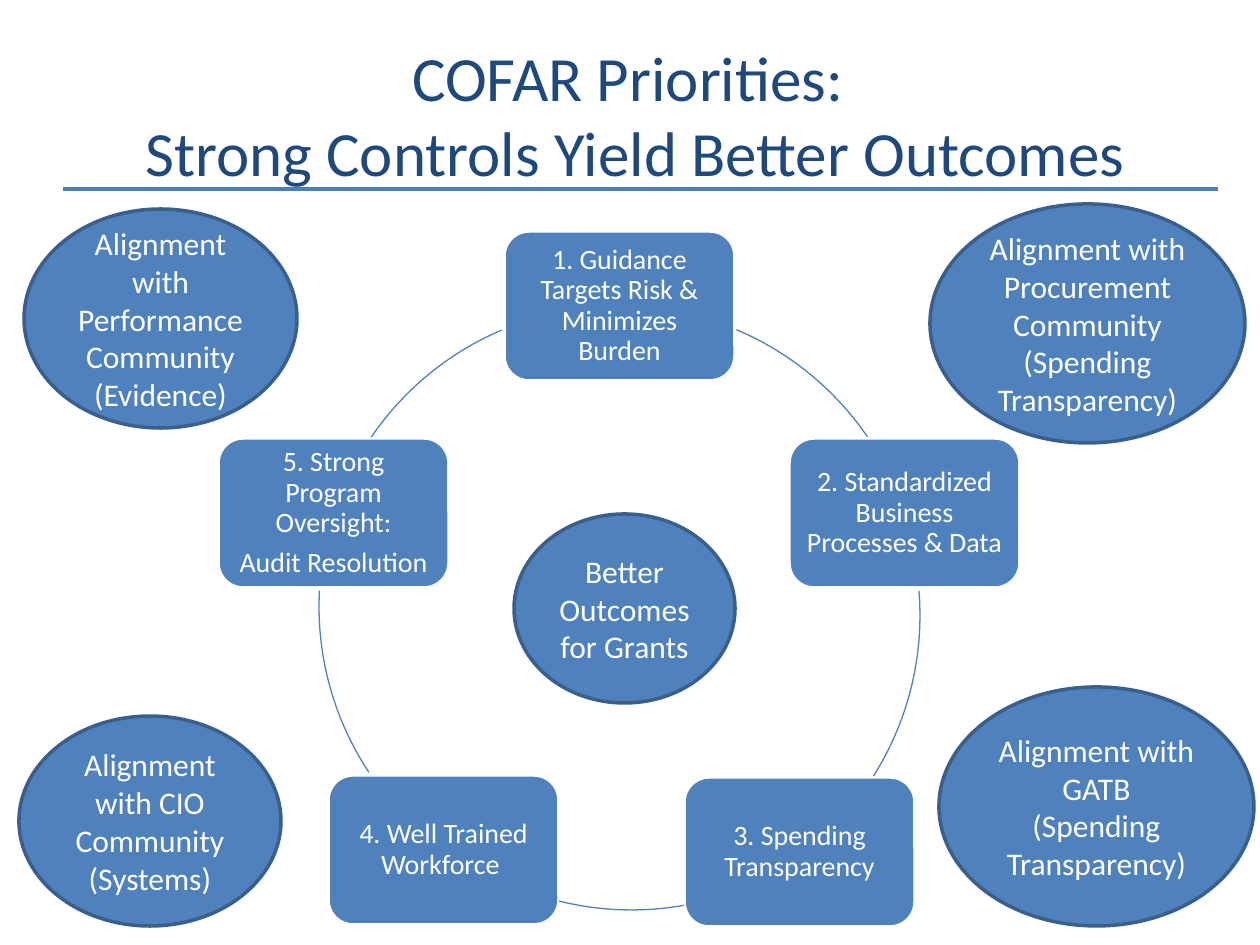
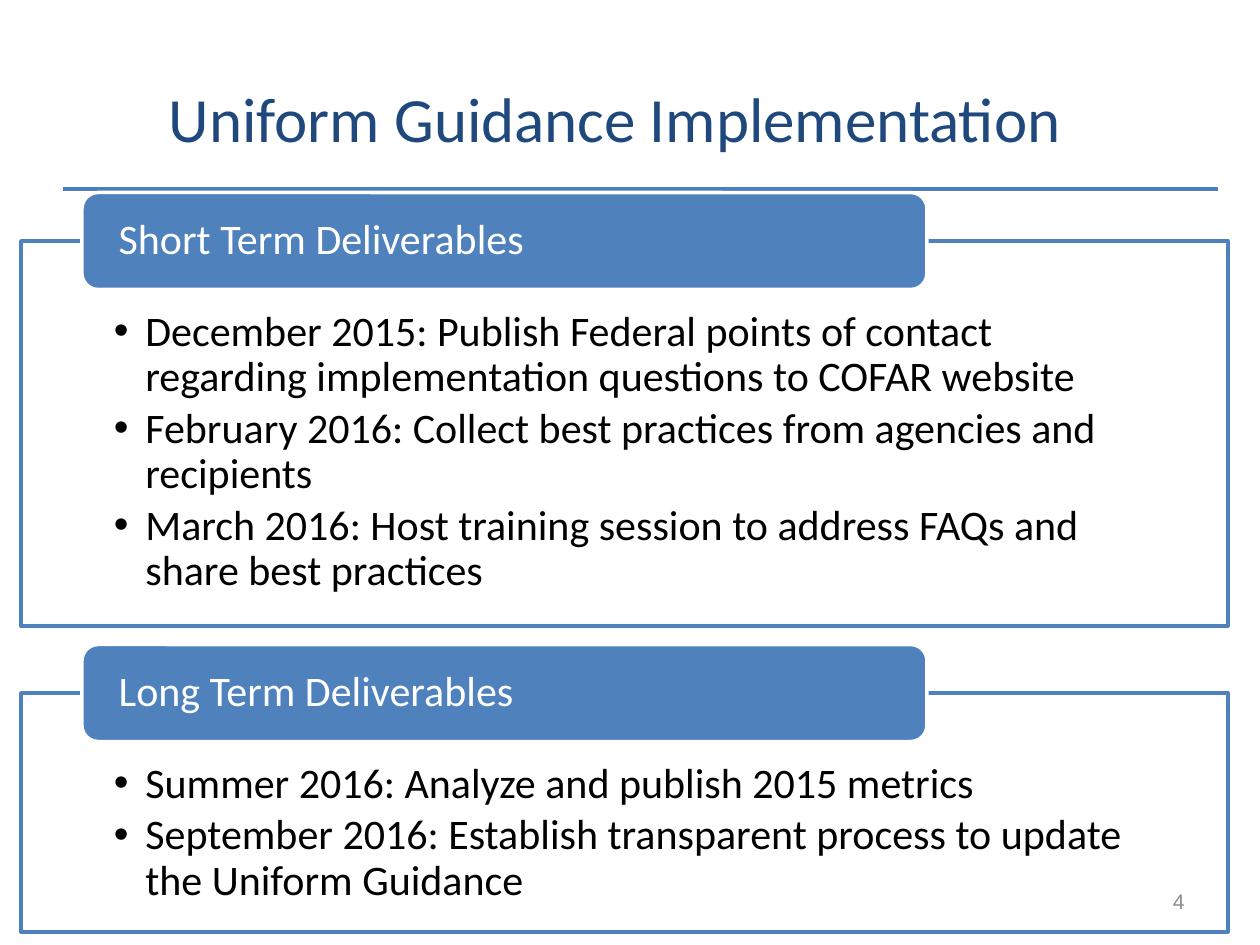
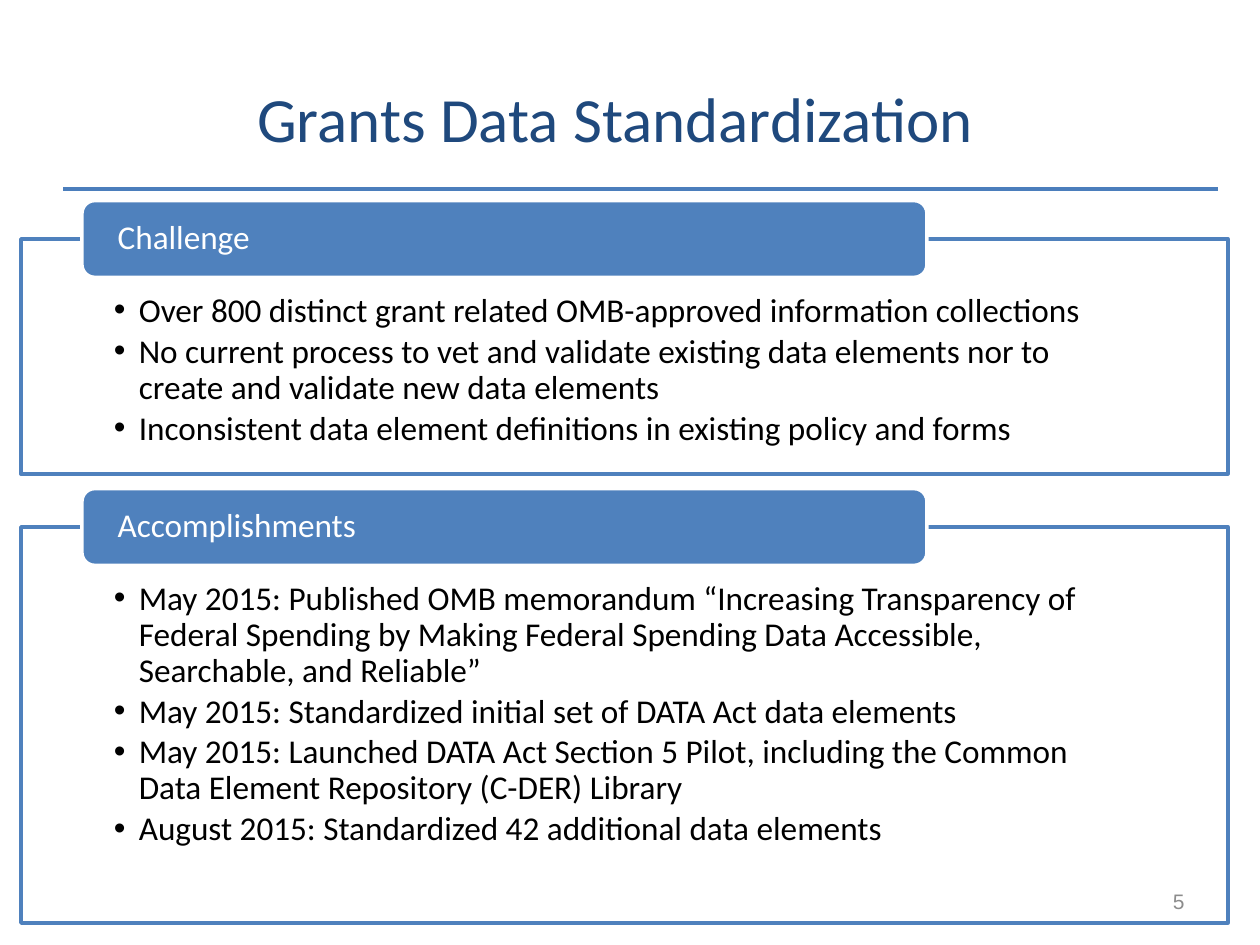
from dataclasses import dataclass

from lxml import etree
from pptx import Presentation
from pptx.dml.color import RGBColor
from pptx.enum.shapes import MSO_CONNECTOR, MSO_SHAPE
from pptx.enum.text import MSO_ANCHOR, MSO_AUTO_SIZE, PP_ALIGN
from pptx.oxml.ns import qn
from pptx.util import Pt

ARC, OVAL = MSO_SHAPE.ARC, MSO_SHAPE.OVAL
RECTANGLE, ROUNDED = MSO_SHAPE.RECTANGLE, MSO_SHAPE.ROUNDED_RECTANGLE
STRAIGHT = MSO_CONNECTOR.STRAIGHT
LEFT, CENTER, RIGHT = PP_ALIGN.LEFT, PP_ALIGN.CENTER, PP_ALIGN.RIGHT
TOP, MIDDLE = MSO_ANCHOR.TOP, MSO_ANCHOR.MIDDLE
NO_AUTOFIT = MSO_AUTO_SIZE.NONE

SCALE = 914400 / 126  # EMU in one pixel


@dataclass(frozen=True)
class Theme:
    """Colours, fonts and type sizes of the deck."""
    title: str = "1F497D"
    accent: str = "4F81BD"
    rule: str = "4B7EBC"
    outline: str = "3A5F8C"
    light: str = "FFFFFF"
    dark: str = "000000"
    muted: str = "8C8C8C"
    font: str = "Calibri"
    number_font: str = "Arial"
    title_size: int = 36
    bubble_size: int = 18
    step_size: int = 16
    number_size: int = 12
    line: float = 2
    thin_line: float = 0.75


@dataclass(frozen=True)
class Box:
    """A rectangle in pixels."""
    left: float
    top: float
    width: float
    height: float

    def emu(self):
        """Return the four lengths in EMU."""
        return [px(n) for n in (self.left, self.top, self.width, self.height)]

    def inner(self, left, top, width, height):
        """Return a box placed relative to this one."""
        return Box(self.left + left, self.top + top, width, height)


THEME = Theme()
PAGE = Box(0, 0, 1260, 945)
DIAGRAM = Box(19, 204, 1235, 739)
NUMBER = Box(903, 876, 294, 50)


def px(length):
    """Turn pixels into EMU."""
    return round(length * SCALE)


def rgb(code):
    """Turn a hex code into a colour."""
    return RGBColor.from_string(code)


def write(frame, lines, size, color=THEME.light, font=THEME.font, align=CENTER,
          anchor=MIDDLE, insets=None, spacing=None, after=0, indent=0):
    """Fill a text frame with one paragraph a line; an indent adds bullets."""
    frame.word_wrap = True
    frame.auto_size = NO_AUTOFIT
    frame.vertical_anchor = anchor
    if insets:
        (frame.margin_left, frame.margin_top,
         frame.margin_right, frame.margin_bottom) = map(px, insets)
    frame.text = "\n".join(lines)
    for para in frame.paragraphs:
        para.alignment = align
        if spacing:
            para.line_spacing = spacing
            para.space_after = Pt(after * size)
        if indent:
            add_bullet(para, indent)
        for span in para.runs:
            span.font.size = Pt(size)
            span.font.name = font
            span.font.color.rgb = rgb(color)


def add_bullet(para, indent):
    """Give a paragraph a hanging round bullet."""
    props = para._p.get_or_add_pPr()
    props.set("marL", str(px(indent)))
    props.set("indent", str(-px(indent)))
    etree.SubElement(props, qn("a:buFont")).set("typeface", "Arial")
    etree.SubElement(props, qn("a:buChar")).set("char", "•")


def add_shape(page, kind, box, fill, line, width=THEME.line):
    """Add a flat preset shape."""
    shape = page.shapes.add_shape(kind, *box.emu())
    shape.shadow.inherit = False
    if fill:
        shape.fill.solid()
        shape.fill.fore_color.rgb = rgb(fill)
    else:
        shape.fill.background()
    shape.line.color.rgb = rgb(line)
    shape.line.width = Pt(width)
    return shape


def add_rule(page, layout):
    """Draw the rule under the title once, on the layout that pages share."""
    rule = page.shapes.add_connector(STRAIGHT, px(63), px(189), px(1218), px(189))
    rule.line.color.rgb = rgb(THEME.rule)
    rule.line.width = Pt(THEME.line)
    etree.SubElement(rule.element.spPr, qn("a:effectLst"))
    next(rule.element.iter(qn("p:cNvPr"))).set("id", "99")
    layout.shapes.element.append(rule.element)


def add_page(deck, layout, title, box):
    """Add a page with its formatted title."""
    page = deck.slides.add_slide(layout)
    holder = page.shapes.title
    holder.left, holder.top, holder.width, holder.height = box.emu()
    write(holder.text_frame, [title], THEME.title_size, color=THEME.title)
    return page


def add_number(page, number, box):
    """Add the page number."""
    label = page.shapes.add_textbox(*box.emu())
    write(label.text_frame, [str(number)], THEME.number_size,
          color=THEME.muted, font=THEME.number_font, align=RIGHT)


def add_bubble(page, box, lines):
    """Add an outlined ellipse with centred text."""
    bubble = add_shape(page, OVAL, box, THEME.accent, THEME.outline)
    write(bubble.text_frame, lines, THEME.bubble_size)


def add_step(page, box, lines):
    """Add one rounded card of the cycle."""
    card = add_shape(page, ROUNDED, box, THEME.accent, THEME.light)
    write(card.text_frame, lines, THEME.step_size, insets=[9] * 4,
          spacing=0.9, after=0.35)


def add_arc(page, box, start, end):
    """Add a thin clockwise arc between two angles in degrees."""
    arc = add_shape(page, ARC, box, None, THEME.accent, THEME.thin_line)
    for index, degrees in enumerate((start, end)):
        arc.adjustments[index] = degrees * 0.6  # 60000 units a degree, over 100000


def add_cycle(page, box, steps, arcs, bubbles):
    """Add the cycle of cards and arcs with the bubbles around it."""
    for left, top, lines in steps:
        add_step(page, box.inner(left, top, 231, 150), lines)
    for left, top, start, end in arcs:
        add_arc(page, box.inner(left, top, 601, 601), start, end)
    for place, lines in bubbles:
        add_bubble(page, box.inner(*place), lines)


def add_panel(page, box, heading, points, size):
    """Add a framed list whose heading tab is centred on the top edge."""
    frame = add_shape(page, RECTANGLE, box, THEME.light, THEME.accent)
    color = next(frame.element.spPr.iter(qn("a:srgbClr")))
    etree.SubElement(color, qn("a:alpha")).set("val", "90000")
    write(frame.text_frame, points, size, color=THEME.dark, align=LEFT,
          anchor=TOP, insets=(93, 2.87 * size, 93, size),
          spacing=0.9, after=0.15, indent=1.31 * size)
    height = 4.04 * size
    tab = add_shape(page, ROUNDED, box.inner(61, -height / 2, 845, height),
                    THEME.accent, THEME.light)
    write(tab.text_frame, [heading], size, align=LEFT, insets=(32, 0, 32, 0),
          spacing=0.9, after=0.35)


STEPS = [
    (485, 27, ["1. Guidance Targets Risk & Minimizes Burden"]),
    (770, 234, ["2. Standardized Business Processes & Data"]),
    (665, 573, ["3. Spending Transparency"]),
    (309, 571, ["4. Well Trained Workforce "]),
    (199, 234, ["5. Strong Program Oversight:", "Audit Resolution"]),
]
ARCS = [
    (300, 102, 292.9, 325.6),
    (300, 111, 355.3, 32.3),
    (312, 105, 80, 104),
    (300, 102, 146.5, 183),
    (300, 102, 214.3, 246.9),
]
BUBBLES = [
    ((495, 310, 221, 189), ["Better Outcomes for Grants"]),
    ((5, 5, 273, 219), ["Alignment with Performance Community (Evidence)"]),
    ((911, 0, 315, 239),
     ["Alignment with Procurement Community (Spending Transparency)"]),
    ((0, 512, 262, 210), ["Alignment with CIO Community (Systems)"]),
    ((920, 483, 315, 239), ["Alignment with GATB", "(Spending Transparency)"]),
]
# Title, page number, type size, then panels: top, height, heading, points
LIST_PAGES = [
    ("Uniform Guidance Implementation", 4, 24, [
        (241, 385, "Short Term Deliverables", [
            "December 2015: Publish Federal points of contact regarding "
            "implementation questions to COFAR website",
            "February 2016: Collect best practices from agencies and recipients",
            "March 2016: Host training session to address FAQs and share best "
            "practices"]),
        (693, 239, "Long Term Deliverables", [
            "Summer 2016: Analyze and publish 2015 metrics",
            "September 2016: Establish transparent process to update the "
            "Uniform Guidance"]),
    ]),
    ("Grants Data Standardization", 5, 19, [
        (239, 235, "Challenge", [
            "Over 800 distinct grant related OMB-approved information collections",
            "No current process to vet and validate existing data elements nor "
            "to create and validate new data elements",
            "Inconsistent data element definitions in existing policy and forms"]),
        (527, 396, "Accomplishments", [
            "May 2015: Published OMB memorandum “Increasing Transparency of "
            "Federal Spending by Making Federal Spending Data Accessible, "
            "Searchable, and Reliable”",
            "May 2015: Standardized initial set of DATA Act data elements",
            "May 2015: Launched DATA Act Section 5 Pilot, including the Common "
            "Data Element Repository (C-DER) Library",
            "August 2015: Standardized 42 additional data elements"]),
    ]),
]


def main():
    """Build and save the deck."""
    deck = Presentation()
    deck.slide_width, deck.slide_height = px(PAGE.width), px(PAGE.height)
    layout = deck.slide_layouts.get_by_name("Title Only")

    page = add_page(deck, layout, "COFAR Priorities: \vStrong Controls Yield "
                    "Better Outcomes", Box(68, 35, 1134, 158))
    add_rule(page, layout)
    add_cycle(page, DIAGRAM, STEPS, ARCS, BUBBLES)

    for title, number, size, panels in LIST_PAGES:
        page = add_page(deck, layout, title, Box(32, 38, 1166, 158))
        for top, height, heading, points in panels:
            add_panel(page, PAGE.inner(21, top, 1207, height), heading, points, size)
        add_number(page, number, NUMBER)

    deck.save("out.pptx")


main()
